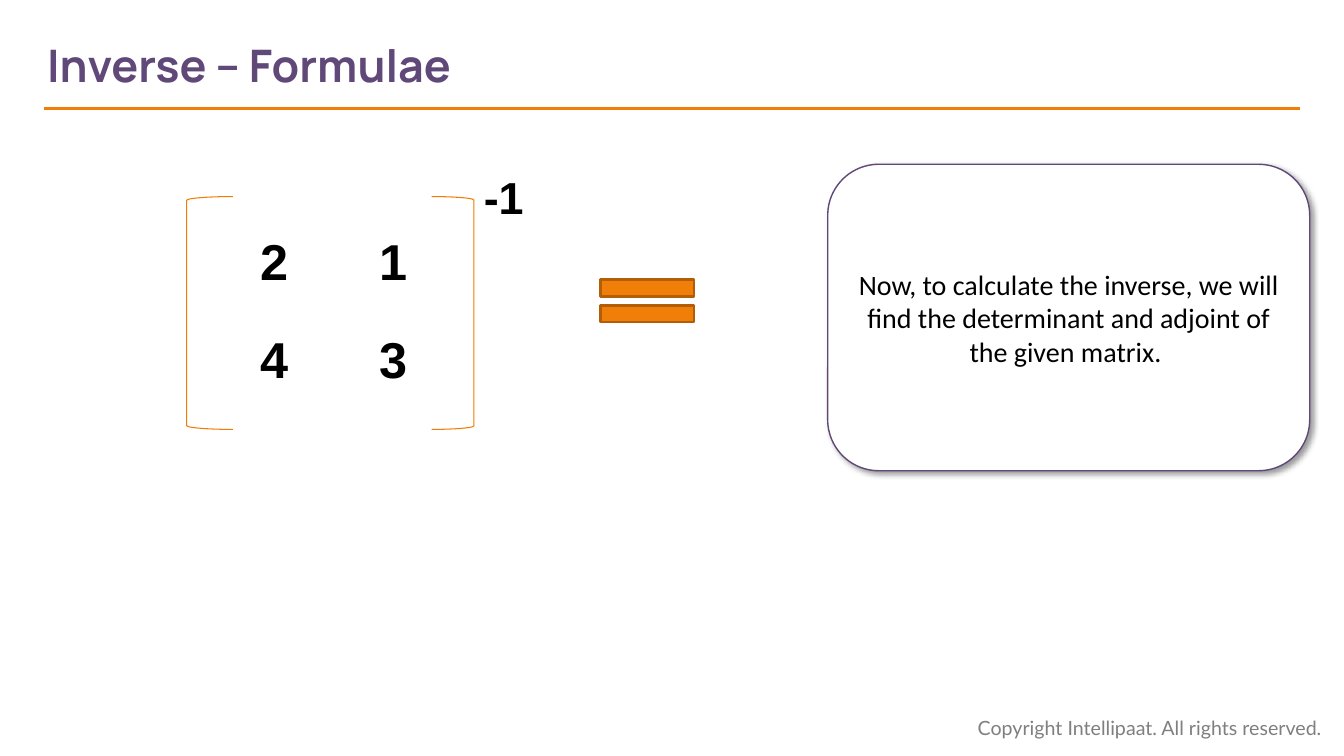
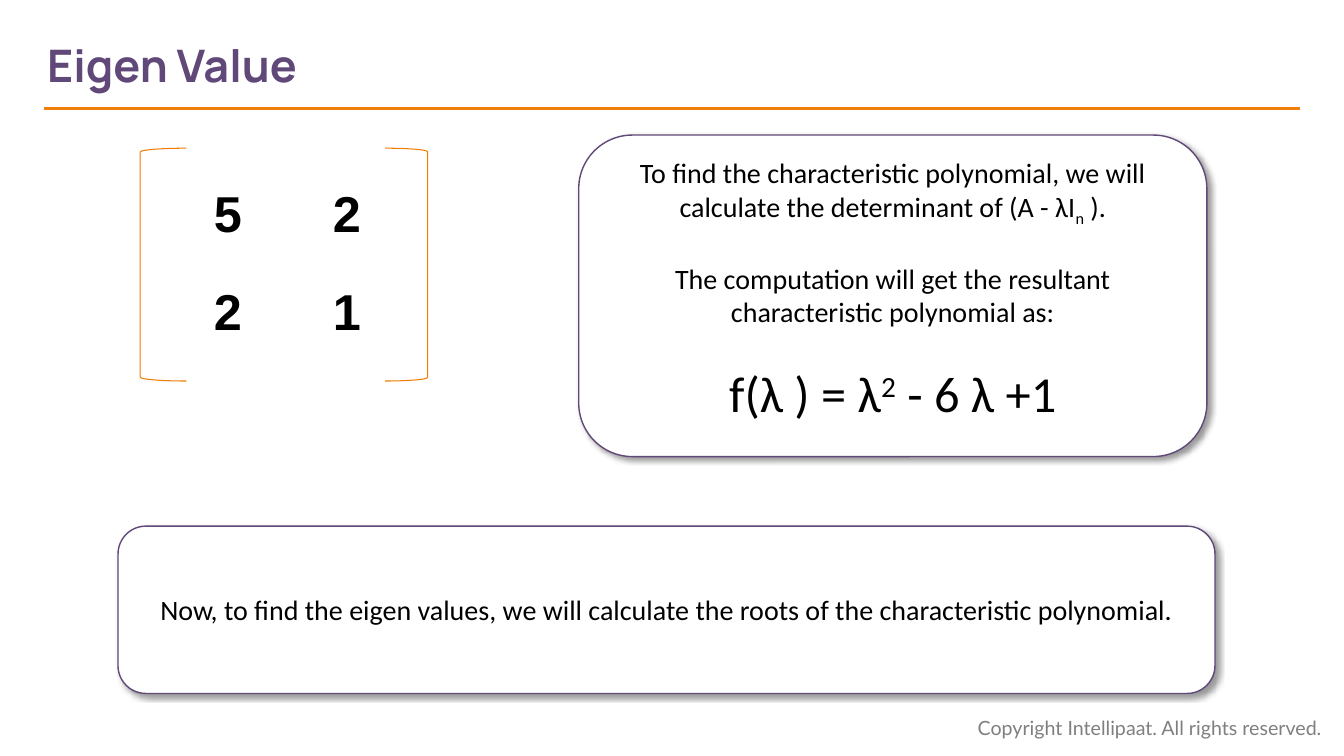
"""Build two slides on matrix inverses and eigen values."""
from lxml import etree
from pptx import Presentation
from pptx.dml.color import RGBColor
from pptx.enum.shapes import MSO_CONNECTOR, MSO_SHAPE
from pptx.enum.text import MSO_ANCHOR, PP_ALIGN
from pptx.oxml.ns import qn
from pptx.util import Inches, Pt

PLUM, ORANGE, AMBER, RUST = "604878", "F07F09", "F07C03", "B25E07"
BLACK, WHITE, GREY = "000000", "FFFFFF", "7F7F7F"

deck = Presentation()
deck.slide_width, deck.slide_height = Inches(13.33), Inches(7.5)
COL, ROW = deck.slide_width / 100, deck.slide_height / 100


def grid(x, y, wide, high):
    """Turn percent shares of the slide into lengths."""
    return int(x * COL), int(y * ROW), int(wide * COL), int(high * ROW)


def style(para, name, size, color, bold=False, align=PP_ALIGN.LEFT):
    """Format a whole paragraph."""
    para.alignment = align
    font = para.font
    font.name, font.size, font.bold = name, Pt(size), bold
    font.color.rgb = RGBColor.from_string(color)


PAGES = [
    {
        "title": "Inverse – Formulae",
        "matrix": (13.88, 26, [["2", "1"], ["4", "3"]]),
        "cards": [
            ((61.59, 21.73, 35.86, 40.53), MSO_ANCHOR.MIDDLE, [
                (20, 0, [("Now, to calculate the inverse, we will find the "
                          "determinant and adjoint of the given matrix. ", 0)]),
            ]),
        ],
    },
    {
        "title": "Eigen Value",
        "matrix": (10.43, 19.6, [["5", "2"], ["2", "1"]]),
        "cards": [
            ((43.06, 17.87, 46.74, 42.53), MSO_ANCHOR.TOP, [
                (20, 0, [("To find the characteristic polynomial, we will "
                          "calculate the determinant of (A - λI", 0),
                         ("n", -25), (" ).", 0)]),
                (20, 24, [("The computation will get the resultant "
                           "characteristic polynomial as:", 0)]),
                (36, 24, [("f(λ ) = λ", 0), ("2", 30), (" - 6 λ +1", 0)]),
            ]),
            ((8.78, 69.6, 81.62, 22.13), MSO_ANCHOR.MIDDLE, [
                (20, 0, [("Now, to find the eigen values, we will calculate "
                          "the roots of the characteristic polynomial.", 0)]),
            ]),
        ],
    },
]

layout = deck.slide_layouts[5]
slides = [deck.slides.add_slide(layout) for page in PAGES]
first = slides[0].shapes

note = first.add_textbox(*grid(72, 94, 27.5, 4.5))
note.text_frame.word_wrap = True
note.text_frame.text = "Copyright Intellipaat. All rights reserved."
style(note.text_frame.paragraphs[0], "Lato", 14, GREY)

left, top, wide, high = grid(3.3, 14.4, 93.45, 0)
rule = first.add_connector(MSO_CONNECTOR.STRAIGHT, left, top, left + wide, top)
rule.line.color.rgb = RGBColor.from_string(ORANGE)
rule.line.width = Pt(2.25)
etree.SubElement(rule.element.spPr, qn("a:effectLst"))

for num, part in enumerate((note, rule), 20):
    part.element.xpath(".//p:cNvPr")[0].set("id", str(num))
    layout.shapes.element.append(part.element)

for slide, page in zip(slides, PAGES):
    shapes = slide.shapes
    title = shapes.title
    title.left, title.top, title.width, title.height = grid(3.5, 2.93, 71, 11.2)
    frame = title.text_frame
    frame.text = page["title"]
    frame.margin_left = 0
    frame.vertical_anchor = MSO_ANCHOR.MIDDLE
    style(frame.paragraphs[0], "Manrope", 32, PLUM, True)

    x, y, rows = page["matrix"]
    group = shapes.add_group_shape()
    for kind, shift, wide in ((MSO_SHAPE.LEFT_BRACKET, 0, 3.45),
                              (MSO_SHAPE.RIGHT_BRACKET, 18.23, 3.15)):
        side = group.shapes.add_shape(kind, *grid(x + shift, y, wide, 30.8))
        side.shadow.inherit = False
        side.fill.background()
        side.line.color.rgb = RGBColor.from_string(AMBER)
        side.line.width = Pt(0.75)

    table = shapes.add_table(2, 2, *grid(x + 2.1, y + 2.3, 17.7, 26)).table
    table.first_row = table.horz_banding = False
    for r, row in enumerate(rows):
        for c, value in enumerate(row):
            cell = table.cell(r, c)
            cell.fill.background()
            cell.vertical_anchor = MSO_ANCHOR.MIDDLE
            cell.text = value
            style(cell.text_frame.paragraphs[0], "Arial", 36, BLACK, True,
                  PP_ALIGN.CENTER)

    for area, anchor, paras in page["cards"]:
        card = shapes.add_shape(MSO_SHAPE.ROUNDED_RECTANGLE, *grid(*area))
        card.fill.solid()
        card.fill.fore_color.rgb = RGBColor.from_string(WHITE)
        card.line.color.rgb = RGBColor.from_string(PLUM)
        card.line.width = Pt(1)
        card.shadow.inherit = False
        shade = etree.SubElement(
            card.element.spPr.find(qn("a:effectLst")), qn("a:outerShdw"),
            blurRad=str(Pt(4)), dist=str(Pt(3)), dir="2700000", algn="tl",
            rotWithShape="0")
        tint = etree.SubElement(shade, qn("a:srgbClr"), val=BLACK)
        etree.SubElement(tint, qn("a:alpha"), val="40000")
        frame = card.text_frame
        frame.word_wrap = True
        frame.vertical_anchor = anchor
        for i, (size, gap, runs) in enumerate(paras):
            para = frame.add_paragraph() if i else frame.paragraphs[0]
            if gap:
                para.space_before = Pt(gap)
            style(para, "Calibri", size, BLACK, align=PP_ALIGN.CENTER)
            for text, base in runs:
                run = para.add_run()
                run.text = text
                if base:
                    run.font.size = Pt(size)
                    run.font.fill.solid()
                    run.font.color.rgb = RGBColor.from_string(BLACK)
                    run.font.name = "Calibri"
                    run.font.bold = False
                    run.font.italic = False
                    run.font.underline = False
                    run._r.get_or_add_rPr().set("baseline", str(base * 1000))

equal = first.add_shape(MSO_SHAPE.MATH_EQUAL, *grid(43.44, 35.07, 9.45, 9.47))
equal.shadow.inherit = False
equal.fill.solid()
equal.fill.fore_color.rgb = RGBColor.from_string(ORANGE)
equal.line.color.rgb = RGBColor.from_string(RUST)
equal.line.width = Pt(2)

power = first.add_textbox(*grid(35.26, 21.73, 5.18, 8.53))
power.text_frame.word_wrap = True
power.text_frame.text = "-1"
style(power.text_frame.paragraphs[0], "Arial", 32, BLACK, True)

deck.save("out.pptx")
